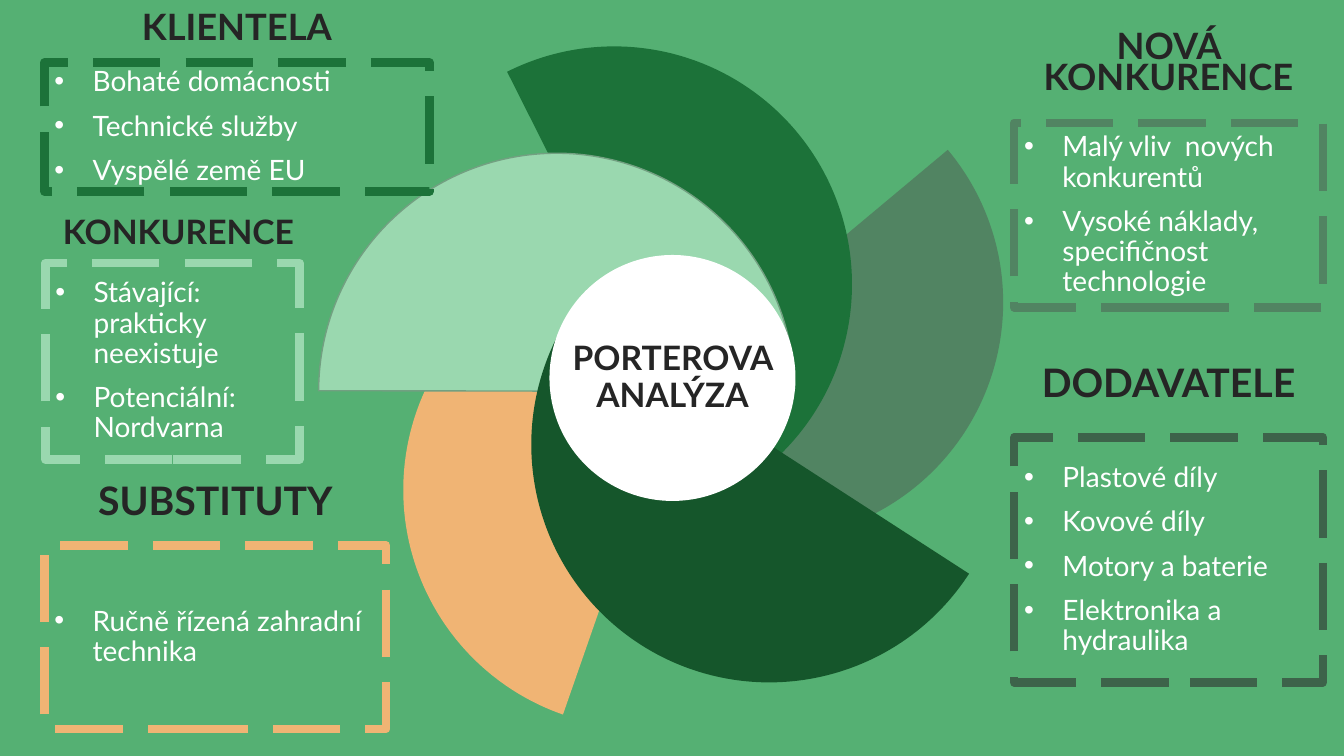
from pptx import Presentation
from pptx.dml.color import RGBColor
from pptx.enum.dml import MSO_LINE
from pptx.enum.shapes import MSO_SHAPE
from pptx.enum.text import MSO_ANCHOR, MSO_AUTO_SIZE, PP_ALIGN
from pptx.oxml.ns import qn
from pptx.util import Inches, Pt
from lxml import etree

PIE, OVAL, RECTANGLE = MSO_SHAPE.CHORD.PIE, MSO_SHAPE.OVAL, MSO_SHAPE.RECTANGLE
LONG_DASH = MSO_LINE.LONG_DASH
TOP, MIDDLE = MSO_ANCHOR.TOP, MSO_ANCHOR.MIDDLE
LEFT, CENTER = PP_ALIGN.LEFT, PP_ALIGN.CENTER
NO_FIT = MSO_AUTO_SIZE.NONE

FONT = "Lato"
DARK, WHITE, BACKGROUND = "252525", "FFFFFF", "55B073"
BLADE_SIZE = 4.72
HEADING_GAP = 0.08
BULLET_INDENT = 0.38

# left, top, rotation, end angle adjustment, fill, outline
BLADES = [
    (5.23, 0.64, 230, 160.55, "518462", None),
    (3.73, 0.46, 153.2, 160.59, "1C7239", None),
    (4, 2.5, 19.1, 162.49, "F0B474", None),
    (3.16, 1.52, 90, 161.6, "9AD8AF", "72A081"),
    (5.27, 2.05, 302.8, 160.55, "15562B", None),
]

# box, list offset, heading, heading size, line spacing, heading shift, colour, items
PANELS = [
    ((0.44, 0.08, 3.82, 1.82), 0.54, "KLIENTELA", 25.9, 0.8, 0, "1C7239",
     ["Bohaté domácnosti", "Technické služby", "Vyspělé země EU"]),
    ((0.45, 2.09, 2.52, 2.47), 0.52, "KONKURENCE", 24, 0.9, 0.06, "9AD8AF",
     ["Stávající: prakticky neexistuje", "Potenciální: Nordvarna"]),
    ((0.44, 4.77, 3.39, 2.46), 0.64, "SUBSTITUTY", 28, 0.8, 0, "F0B474",
     ["Ručně řízená zahradní technika"]),
    ((10.06, 0.3, 3.06, 2.75), 0.92, "NOVÁ KONKURENCE", 25.9, 0.7, 0, "518462",
     ["Malý vliv  nových konkurentů", "Vysoké náklady, specifičnost technologie"]),
    ((10.06, 3.56, 3.06, 3.21), 0.78, "DODAVATELE", 28, 0.9, 0, "3D634A",
     ["Plastové díly", "Kovové díly", "Motory a baterie", "Elektronika a hydraulika"]),
]


def color(value):
    return RGBColor.from_string(value)


def inches(box):
    return [Inches(length) for length in box]


def set_attributes(target, values):
    for name, value in values.items():
        setattr(target, name, value)


def add_plain_shape(slide, kind, box, fill=None, outline=None, width=1):
    shape = slide.shapes.add_shape(kind, *inches(box))
    shape.shadow.inherit = False
    if fill:
        shape.fill.solid()
        shape.fill.fore_color.rgb = color(fill)
    else:
        shape.fill.background()
    if outline:
        shape.line.color.rgb = color(outline)
        shape.line.width = Pt(width)
    else:
        shape.line.fill.background()
    return shape


def add_bullet(paragraph):
    properties = paragraph._p.get_or_add_pPr()
    properties.set("marL", str(Inches(BULLET_INDENT)))
    properties.set("indent", str(-Inches(BULLET_INDENT)))
    bullet_font = etree.SubElement(properties, qn("a:buFont"))
    bullet_font.set("typeface", "Arial")
    etree.SubElement(properties, qn("a:buChar")).set("char", "•")


def write(shape, lines, size, text_color, anchor=TOP, alignment=CENTER,
          spacing=0.9, bold=False, bullets=False, side_margin=0.1):
    frame = shape.text_frame
    set_attributes(frame, {
        "word_wrap": True, "auto_size": NO_FIT, "vertical_anchor": anchor,
        "margin_left": Inches(side_margin), "margin_right": Inches(side_margin),
        "margin_top": Inches(0.05), "margin_bottom": Inches(0.05)})
    for index, line in enumerate(lines):
        paragraph = frame.add_paragraph() if index else frame.paragraphs[0]
        if bullets:
            add_bullet(paragraph)
        set_attributes(paragraph, {
            "alignment": alignment, "line_spacing": spacing,
            "space_before": Pt(10 if index else 0)})
        run = paragraph.add_run()
        run.text = line
        set_attributes(run.font, {"name": FONT, "size": Pt(size), "bold": bold})
        run.font.color.rgb = color(text_color)


def add_pinwheel(slide):
    # Overlapping half-circle blades
    for left, top, rotation, end, fill, outline in BLADES:
        blade = add_plain_shape(slide, PIE, (left, top, BLADE_SIZE, BLADE_SIZE), fill, outline)
        blade.adjustments[0] = 54.06
        blade.adjustments[1] = end
        blade.rotation = rotation


def add_center(slide, box):
    # White hub with the slide title on top of it
    hub = add_plain_shape(slide, OVAL, box, WHITE)
    left, top, width, height = box
    inset = 0.04
    title = slide.shapes.title
    title_box = (left + inset, top + inset, width - 2 * inset, height - 2 * inset)
    set_attributes(title, dict(zip(("left", "top", "width", "height"), inches(title_box))))
    write(title, ["PORTEROVA ANALÝZA"], 24, DARK, MIDDLE, bold=True)
    hub._element.addnext(title._element)


def add_panel(slide, box, list_offset, heading, size, spacing, shift, outline, items):
    left, top, width, height = box
    # Dashed list frame
    frame = add_plain_shape(slide, RECTANGLE, (left, top + list_offset, width, height - list_offset),
                            outline=outline, width=6)
    frame.line.dash_style = LONG_DASH
    write(frame, items, 20, WHITE, MIDDLE, LEFT, bullets=True)
    # Heading above the frame
    heading_box = (left + shift, top, width, list_offset - HEADING_GAP)
    write(slide.shapes.add_textbox(*inches(heading_box)), [heading], size, DARK,
          spacing=spacing, bold=True, side_margin=0)


def main():
    presentation = Presentation()
    presentation.slide_width = Inches(13.33)
    presentation.slide_height = Inches(7.5)
    slide = presentation.slides.add_slide(presentation.slide_layouts[5])
    slide.background.fill.solid()
    slide.background.fill.fore_color.rgb = color(BACKGROUND)
    add_pinwheel(slide)
    add_center(slide, (5.45, 2.53, 2.44, 2.44))
    for panel in PANELS:
        add_panel(slide, *panel)
    presentation.save("out.pptx")


if __name__ == "__main__":
    main()
